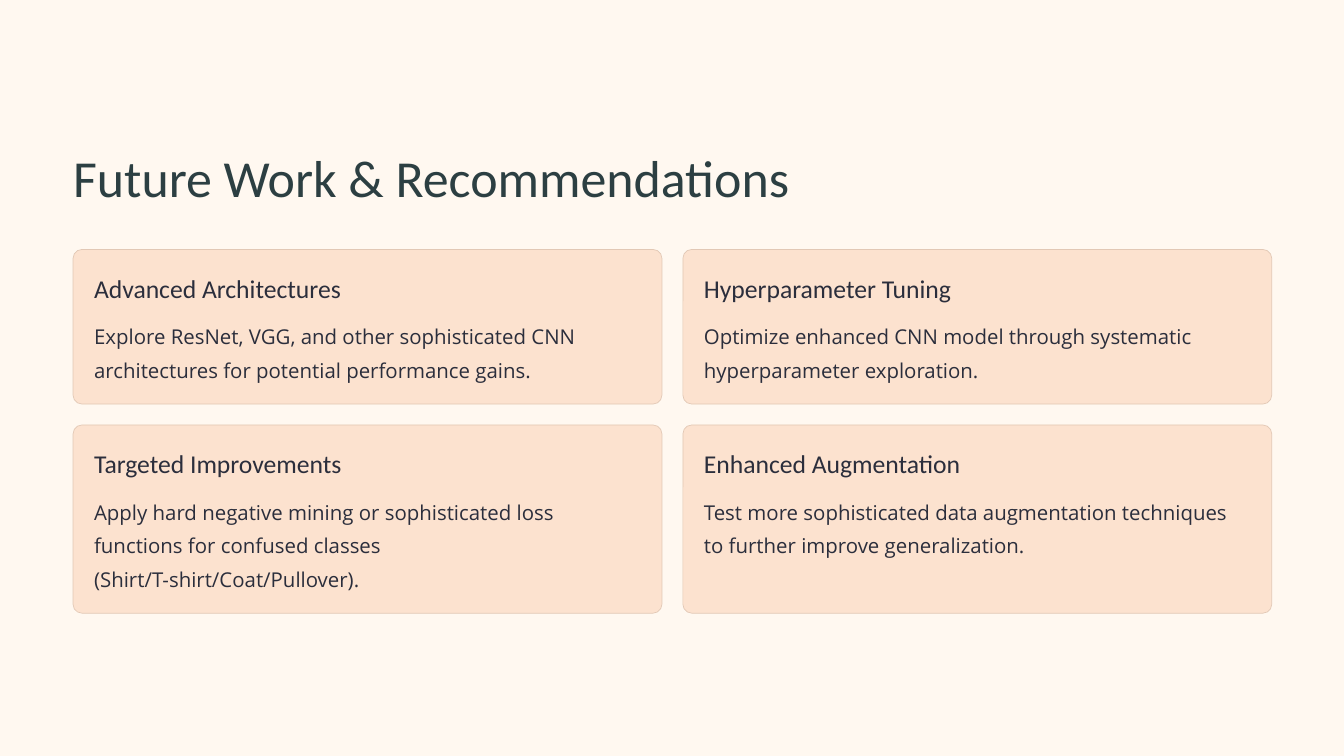
from pptx import Presentation
from pptx.dml.color import RGBColor
from pptx.enum import shapes, text
from pptx.util import Inches, Pt

CREAM = RGBColor(0xFF, 0xF8, 0xF0)
PEACH = RGBColor(0xFC, 0xE2, 0xCF)
TAN = RGBColor(0xE2, 0xC8, 0xB5)
TEAL = RGBColor(0x2C, 0x3F, 0x42)
INK = RGBColor(0x2B, 0x2E, 0x3C)

TITLE = {"name": "Calibri", "size": Pt(44.5)}
HEADING = {"name": "Calibri", "size": Pt(22)}
BODY = {"name": "Open Sans", "size": Pt(17.5)}

MARGIN, CARDS_TOP = 0.87, 2.97
CARD_WIDTH, GAP, PADDING = 7.01, 0.25, 0.25
RADIUS = 0.105

# Each row: card height, then (heading, body) for each card
CARD_ROWS = [
    (1.84, [
        ("Advanced Architectures",
         "Explore ResNet, VGG, and other sophisticated CNN architectures "
         "for potential performance gains."),
        ("Hyperparameter Tuning",
         "Optimize enhanced CNN model through systematic "
         "hyperparameter exploration."),
    ]),
    (2.24, [
        ("Targeted Improvements",
         "Apply hard negative mining or sophisticated loss functions "
         "for confused classes (Shirt/T-shirt/Coat/Pullover)."),
        ("Enhanced Augmentation",
         "Test more sophisticated data augmentation techniques "
         "to further improve generalization."),
    ]),
]


def place(shape, left, top, width, height):
    for side, value in zip(("left", "top", "width", "height"),
                           (left, top, width, height)):
        setattr(shape, side, Inches(value))


def write(shape, words, font, color, spacing, wrap=True):
    """Fill a shape with one left-aligned paragraph without insets."""
    frame = shape.text_frame
    frame_format = {
        "margin_left": 0, "margin_top": 0, "margin_right": 0, "margin_bottom": 0,
        "word_wrap": wrap, "auto_size": text.MSO_AUTO_SIZE.NONE,
        "vertical_anchor": text.MSO_ANCHOR.TOP,
    }
    for name, value in frame_format.items():
        setattr(frame, name, value)
    para = frame.paragraphs[0]
    para.alignment = text.PP_ALIGN.LEFT
    para.line_spacing = Pt(spacing)
    span = para.add_run()
    span.text = words
    for name, value in font.items():
        setattr(span.font, name, value)
    span.font.color.rgb = color


def add_title(page, left, top, width, height):
    title = page.shapes.title
    place(title, left, top, width, height)
    write(title, "Future Work & Recommendations", TITLE, TEAL, 55.5, wrap=False)


def add_card(page, left, top, width, height, heading, body):
    card = page.shapes.add_shape(
        shapes.MSO_SHAPE.ROUNDED_RECTANGLE,
        *map(Inches, (left, top, width, height)))
    card.adjustments[0] = RADIUS / height
    card.shadow.inherit = False
    card.fill.solid()
    card.fill.fore_color.rgb = PEACH
    card.line.color.rgb = TAN
    card.line.width = Pt(0.6)

    inner_left, inner_width = left + PADDING, width - 2 * PADDING
    parts = [(heading, HEADING, 27.5, 0.26, 0.39, False),
             (body, BODY, 28.5, 0.79, height - 1.05, True)]
    for words, font, spacing, offset, box_height, wrap in parts:
        box = page.shapes.add_textbox(
            *map(Inches, (inner_left, top + offset, inner_width, box_height)))
        write(box, words, font, INK, spacing, wrap)


def add_card_grid(page, left, top):
    for height, cards in CARD_ROWS:
        for column, (heading, body) in enumerate(cards):
            add_card(page, left + column * (CARD_WIDTH + GAP), top,
                     CARD_WIDTH, height, heading, body)
        top += height + GAP


def main():
    deck = Presentation()
    deck.slide_width, deck.slide_height = Inches(16), Inches(9)
    page = deck.slides.add_slide(deck.slide_layouts.get_by_name("Title Only"))
    page.background.fill.solid()
    page.background.fill.fore_color.rgb = CREAM
    add_title(page, MARGIN, 1.7, 9.8, 0.78)
    add_card_grid(page, MARGIN, CARDS_TOP)
    deck.save("out.pptx")


if __name__ == "__main__":
    main()
